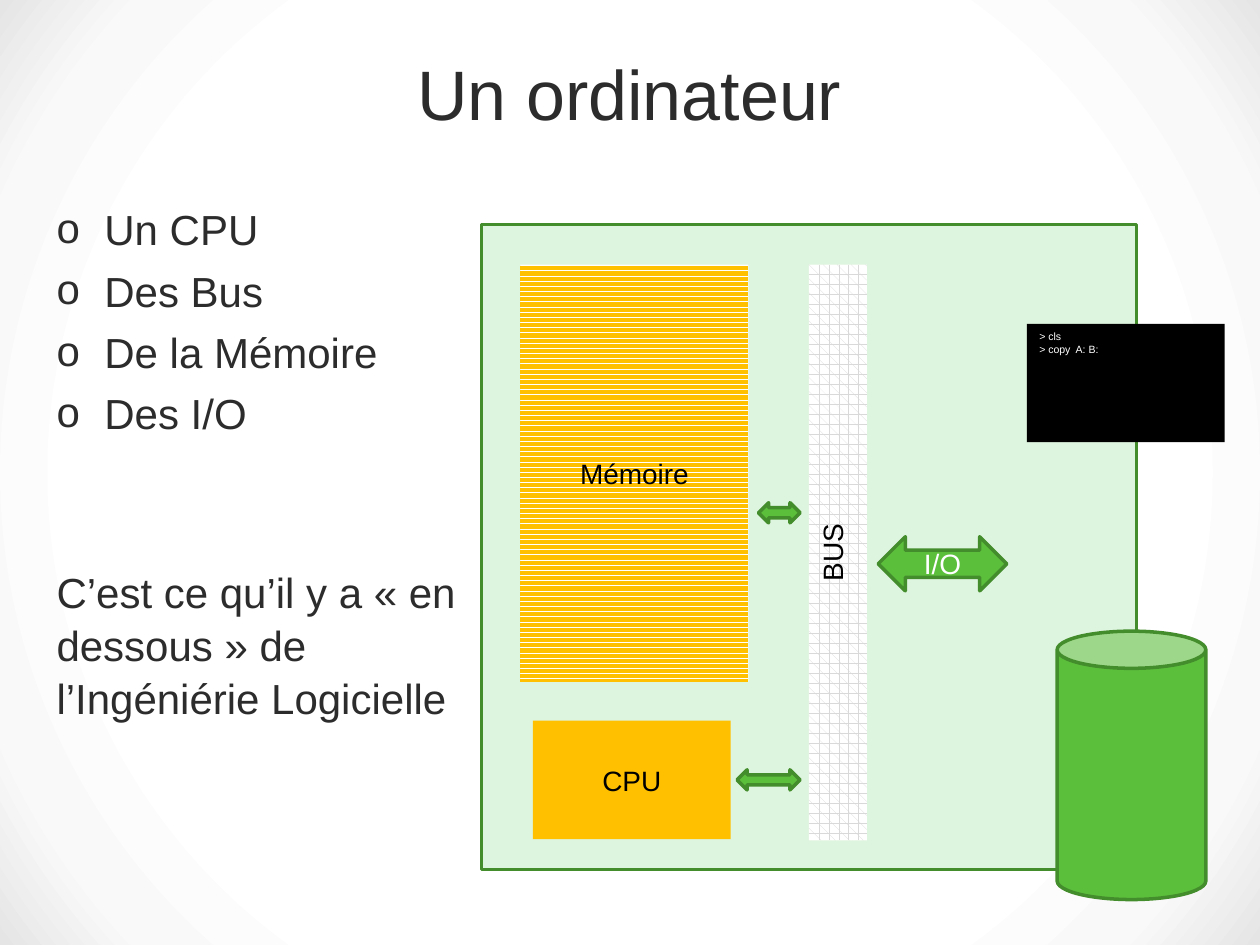
from lxml.etree import SubElement
from pptx import Presentation
from pptx.dml.color import RGBColor
from pptx.enum.dml import MSO_PATTERN
from pptx.enum.shapes import MSO_SHAPE
from pptx.enum.text import MSO_ANCHOR, PP_ALIGN
from pptx.oxml import parse_xml
from pptx.oxml.ns import nsdecls, qn
from pptx.util import Inches, Pt

INK = RGBColor(0x2C, 0x2C, 0x2C)
BLACK = RGBColor(0x00, 0x00, 0x00)
WHITE = RGBColor(0xFF, 0xFF, 0xFF)
GREEN = RGBColor(0x5C, 0xBF, 0x3C)
DARK_GREEN = RGBColor(0x44, 0x8D, 0x2C)
PALE_GREEN = RGBColor(0xDD, 0xF4, 0xDE)
AMBER = RGBColor(0xFF, 0xC0, 0x00)
GREY = RGBColor(0xD9, 0xD9, 0xD9)

BACKGROUND = f"""<p:bg {nsdecls("p", "a")}><p:bgPr><a:gradFill rotWithShape="1"><a:gsLst>
<a:gs pos="68000"><a:srgbClr val="FFFFFF"/></a:gs>
<a:gs pos="86000"><a:srgbClr val="F9F9F9"><a:alpha val="73000"/></a:srgbClr></a:gs>
<a:gs pos="100000"><a:srgbClr val="E5E5E5"/></a:gs></a:gsLst>
<a:path path="circle"><a:fillToRect l="50000" t="50000" r="50000" b="50000"/></a:path>
</a:gradFill><a:effectLst/></p:bgPr></p:bg>"""


class Sheet:
    """Current slide on a grid of 100 columns by 75 rows, with its text style."""

    font = "Arial"
    columns, rows = 100, 75
    hanging = Inches(0.38)

    def __init__(self, deck):
        self.page = deck.slides.add_slide(deck.slide_layouts[6])
        self.column = deck.slide_width / self.columns
        self.row = deck.slide_height / self.rows

    def background(self):
        self.page.background.fill.background()
        content = self.page.element.cSld
        content.replace(content.find(qn("p:bg")), parse_xml(BACKGROUND))

    def area(self, left, top, width, height):
        return (round(left * self.column), round(top * self.row),
                round(width * self.column), round(height * self.row))

    def set_text(self, frame, text, size, color, align=PP_ALIGN.LEFT):
        frame.word_wrap = True
        frame.text = text
        for para in frame.paragraphs:
            para.alignment = align
            for span in para.runs:
                span.font.name = self.font
                span.font.size = Pt(size)
                span.font.color.rgb = color

    def text_box(self, area, text, size, align=PP_ALIGN.LEFT):
        frame = self.page.shapes.add_textbox(*self.area(*area)).text_frame
        self.set_text(frame, text, size, INK, align)
        return frame.paragraphs

    def bullet(self, para):
        properties = para._p.get_or_add_pPr()
        properties.set("marL", str(self.hanging))
        properties.set("indent", str(-self.hanging))
        SubElement(properties, qn("a:buFont")).set("typeface", self.font)
        SubElement(properties, qn("a:buChar")).set("char", "o")

    def shape(self, kind, area, fill, line=None, pattern=None, back=WHITE):
        box = self.page.shapes.add_shape(kind, *self.area(*area))
        box.shadow.inherit = False
        if pattern is None:
            box.fill.solid()
            box.fill.fore_color.rgb = fill
        else:
            box.fill.patterned()
            box.fill.pattern = pattern
            box.fill.fore_color.rgb = fill
            box.fill.back_color.rgb = back
        if line is None:
            box.line.fill.background()
        else:
            box.line.color.rgb = line
            box.line.width = Pt(2)
        return box

    def block(self, area, fill, text, pattern=None):
        box = self.shape(MSO_SHAPE.RECTANGLE, area, fill, pattern=pattern)
        self.set_text(box.text_frame, text, 16, BLACK, PP_ALIGN.CENTER)
        return box

    def arrow(self, area):
        return self.shape(MSO_SHAPE.LEFT_RIGHT_ARROW, area, GREEN, DARK_GREEN)


def main():
    deck = Presentation()
    deck.slide_width, deck.slide_height = Inches(10), Inches(7.5)
    sheet = Sheet(deck)
    sheet.background()

    title = sheet.text_box((4.3, 2.1, 91.3, 9.9), "Un ordinateur", 40, PP_ALIGN.CENTER)
    title[0].line_spacing = Pt(58)

    parts = ["Un CPU", "Des Bus", "De la Mémoire", "Des I/O"]
    conclusion = "C’est ce qu’il y a « en dessous » de l’Ingéniérie Logicielle"
    body = sheet.text_box((3.5, 15.5, 33.8, 54.3), "\n".join(parts + [conclusion]), 24)
    for para in body:
        para.line_spacing = 1.05
    for para in body[1:-1]:
        para.space_before = Pt(4.8)
    body[-1].space_before = Pt(72)
    for para in body[:-1]:
        sheet.bullet(para)

    sheet.shape(MSO_SHAPE.RECTANGLE, (38.2, 17.8, 52, 51.2), PALE_GREEN, DARK_GREEN)
    sheet.block((42.3, 57.2, 15.7, 9.4), AMBER, "CPU")
    sheet.shape(MSO_SHAPE.CAN, (83.9, 50.1, 11.8, 21.3), GREEN, DARK_GREEN)

    terminal = sheet.shape(MSO_SHAPE.RECTANGLE, (81.5, 25.7, 15.7, 9.4), BLACK)
    terminal.text_frame.vertical_anchor = MSO_ANCHOR.TOP
    sheet.set_text(terminal.text_frame, "> cls\n> copy  A: B:", 6, WHITE)

    ports = sheet.arrow((69.7, 42.6, 10.2, 4.3))
    sheet.set_text(ports.text_frame, "I/O", 16, WHITE, PP_ALIGN.CENTER)

    bus = sheet.block((64.2, 21, 4.6, 45.7), GREY, "BUS", MSO_PATTERN.PLAID)
    bus.text_frame.vertical_anchor = MSO_ANCHOR.TOP
    bus.text_frame._txBody.bodyPr.set("vert", "vert270")

    sheet.arrow((58.5, 61.1, 5, 1.6))
    sheet.block((41.3, 21, 18.1, 33.1), AMBER, "Mémoire", MSO_PATTERN.DARK_HORIZONTAL)
    sheet.arrow((60.2, 39.9, 3.3, 1.6))

    deck.save("out.pptx")


if __name__ == "__main__":
    main()
